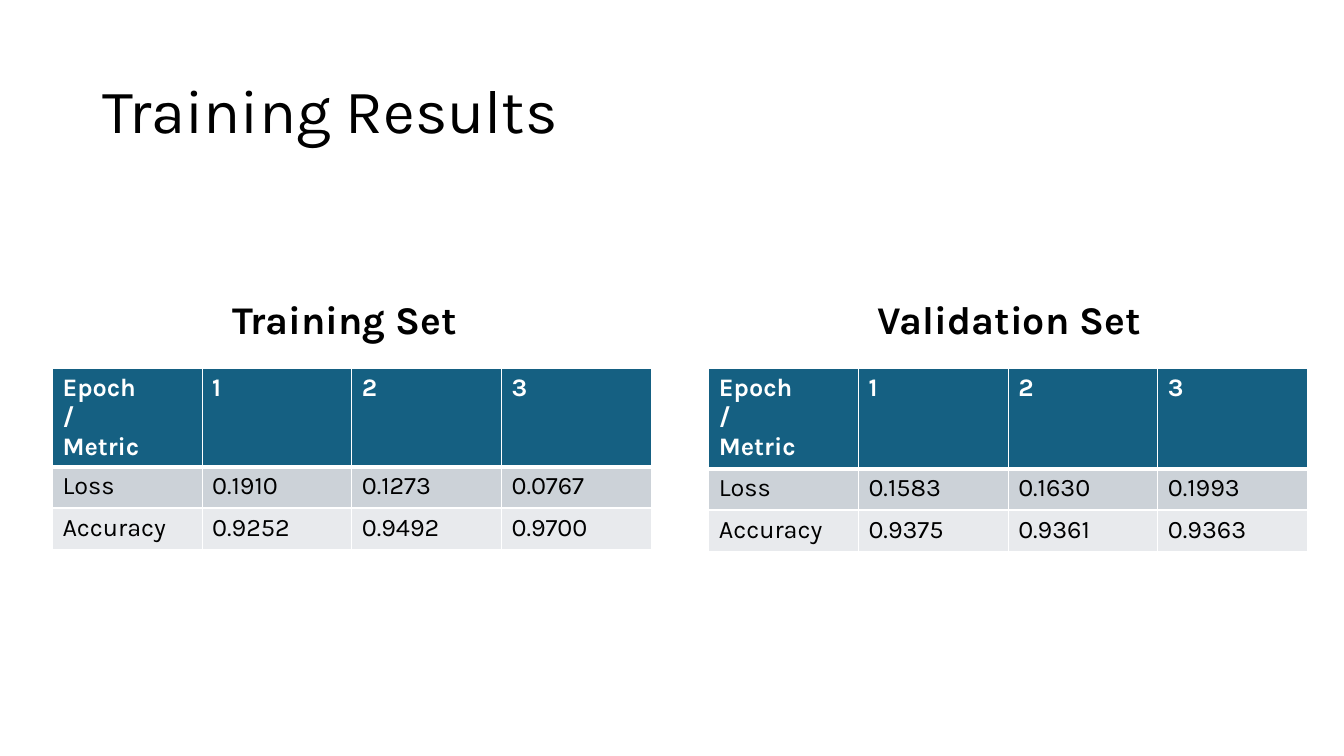
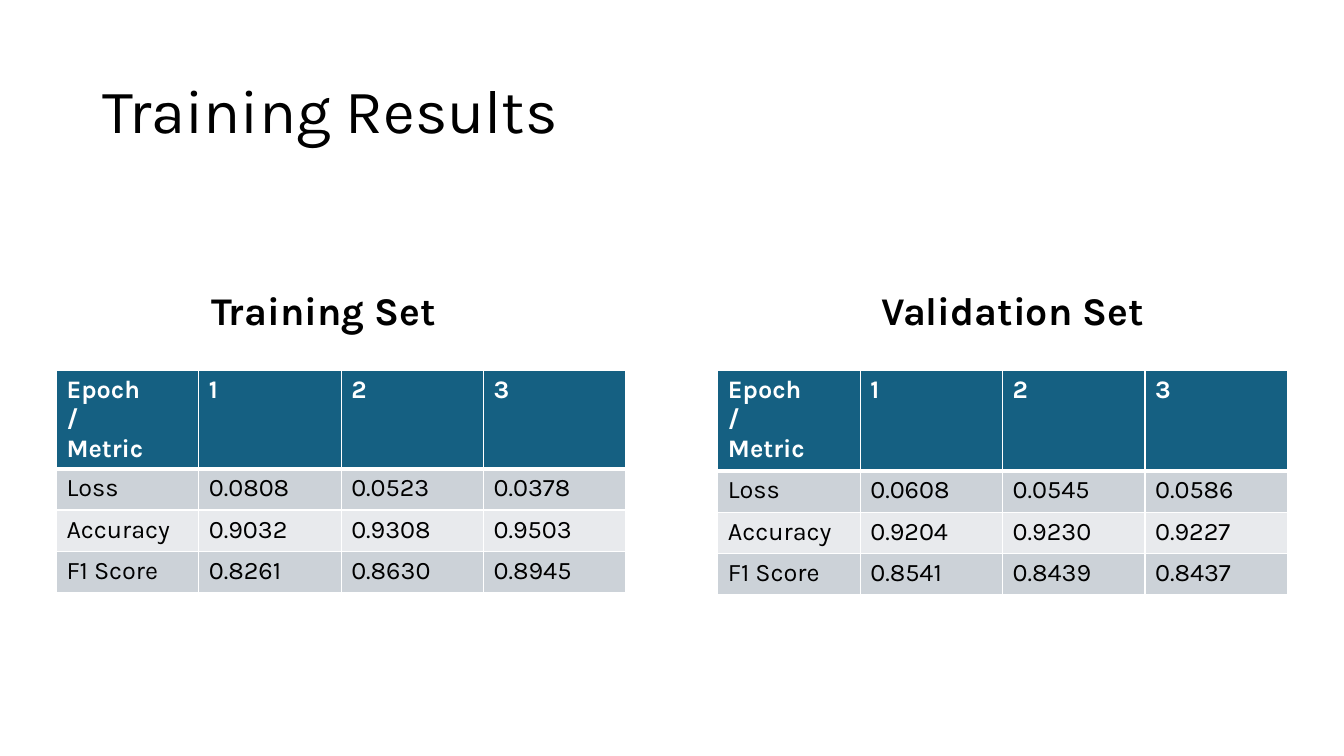
from lxml import etree
from pptx import Presentation, util as u
from pptx.dml.color import RGBColor
from pptx.enum import text
from pptx.oxml.ns import qn

FONT = "Karla"
COLORS = {
    "ink": "000000",
    "paper": "FFFFFF",
    "header": "156082",
    "band_dark": "CCD2D8",
    "band_light": "E8EAED",
}
COLUMN_HEADS = ["Epoch\n/\nMetric", "1", "2", "3"]
HEADING_SIZE = (3.66, 0.57)
ROW_HEIGHT = 0.41
HEADER_HEIGHT = 0.97

RESULTS = [
    {
        "table_top": 3.65, "table_width": 5.94, "heading_top": 2.88,
        "sets": [
            {"name": "Training Set", "left": 0.52, "heading_left": 2.21,
             "metrics": [["Loss", "0.1910", "0.1273", "0.0767"],
                         ["Accuracy", "0.9252", "0.9492", "0.9700"]]},
            {"name": "Validation Set", "left": 7.03, "heading_left": 8.61,
             "metrics": [["Loss", "0.1583", "0.1630", "0.1993"],
                         ["Accuracy", "0.9375", "0.9361", "0.9363"]]},
        ],
    },
    {
        "table_top": 3.67, "table_width": 5.65, "heading_top": 2.79,
        "sets": [
            {"name": "Training Set", "left": 0.56, "heading_left": 2,
             "metrics": [["Loss", "0.0808", "0.0523", "0.0378"],
                         ["Accuracy", "0.9032", "0.9308", "0.9503"],
                         ["F1 Score", "0.8261", "0.8630", "0.8945"]]},
            {"name": "Validation Set", "left": 7.12, "heading_left": 8.64,
             "header_height": 1,
             "metrics": [["Loss", "0.0608", "0.0545", "0.0586"],
                         ["Accuracy", "0.9204", "0.9230", "0.9227"],
                         ["F1 Score", "0.8541", "0.8439", "0.8437"]]},
        ],
    },
]


def rgb(name):
    return RGBColor.from_string(COLORS[name])


def write(frame, words, size=18, color="ink", bold=False, spacing=None):
    """Fill a text frame, one paragraph for each line of words."""
    frame.text = words
    for paragraph in frame.paragraphs:
        paragraph.alignment = text.PP_ALIGN.LEFT
        if spacing:
            paragraph.line_spacing = spacing
        for run in paragraph.runs:
            run.font.name = FONT
            run.font.size = u.Pt(size)
            run.font.bold = bold
            run.font.color.rgb = rgb(color)


def add_title(slide, words):
    title = slide.shapes.title
    title.left, title.top = u.Inches(0.92), u.Inches(0.4)
    title.width, title.height = u.Inches(11.5), u.Inches(1.45)
    title.text_frame.vertical_anchor = text.MSO_ANCHOR.MIDDLE
    write(title.text_frame, words, size=44, spacing=0.9)


def add_heading(slide, words, left, top):
    box = slide.shapes.add_textbox(
        *(u.Inches(length) for length in (left, top, *HEADING_SIZE)))
    box.text_frame.word_wrap = True
    write(box.text_frame, words, size=28, bold=True)


def set_borders(cell, **widths):
    """Draw white cell borders; call before filling the cell."""
    properties = cell._tc.get_or_add_tcPr()
    for side in ("L", "R", "T", "B"):
        line = etree.SubElement(properties, qn(f"a:ln{side}"),
                                w=str(u.Pt(widths.get(side, 1))))
        fill = etree.SubElement(line, qn("a:solidFill"))
        etree.SubElement(fill, qn("a:srgbClr"), val=COLORS["paper"])


def add_metric_table(slide, metrics, left, top, width, header_height):
    rows = [COLUMN_HEADS, *metrics]
    height = header_height + ROW_HEIGHT * len(metrics)
    table = slide.shapes.add_table(
        len(rows), len(COLUMN_HEADS), u.Inches(left), u.Inches(top),
        u.Inches(width), u.Inches(height)).table
    for r, values in enumerate(rows):
        is_header = r == 0
        table.rows[r].height = u.Inches(header_height if is_header else ROW_HEIGHT)
        band = "header" if is_header else ("band_light", "band_dark")[r % 2]
        for c, value in enumerate(values):
            cell = table.cell(r, c)
            set_borders(cell, T=3 if r == 1 else 1, B=3 if is_header else 1)
            cell.fill.solid()
            cell.fill.fore_color.rgb = rgb(band)
            write(cell.text_frame, value, bold=is_header,
                  color="paper" if is_header else "ink")


def add_results_slide(deck, result):
    slide = deck.slides.add_slide(deck.slide_layouts.get_by_name("Title Only"))
    add_title(slide, "Training Results")
    for data in result["sets"]:
        add_metric_table(slide, data["metrics"], data["left"],
                         result["table_top"], result["table_width"],
                         data.get("header_height", HEADER_HEIGHT))
        add_heading(slide, data["name"], data["heading_left"],
                    result["heading_top"])


def main():
    deck = Presentation()
    deck.slide_width, deck.slide_height = u.Inches(13.33), u.Inches(7.5)
    for result in RESULTS:
        add_results_slide(deck, result)
    deck.save("out.pptx")


if __name__ == "__main__":
    main()
